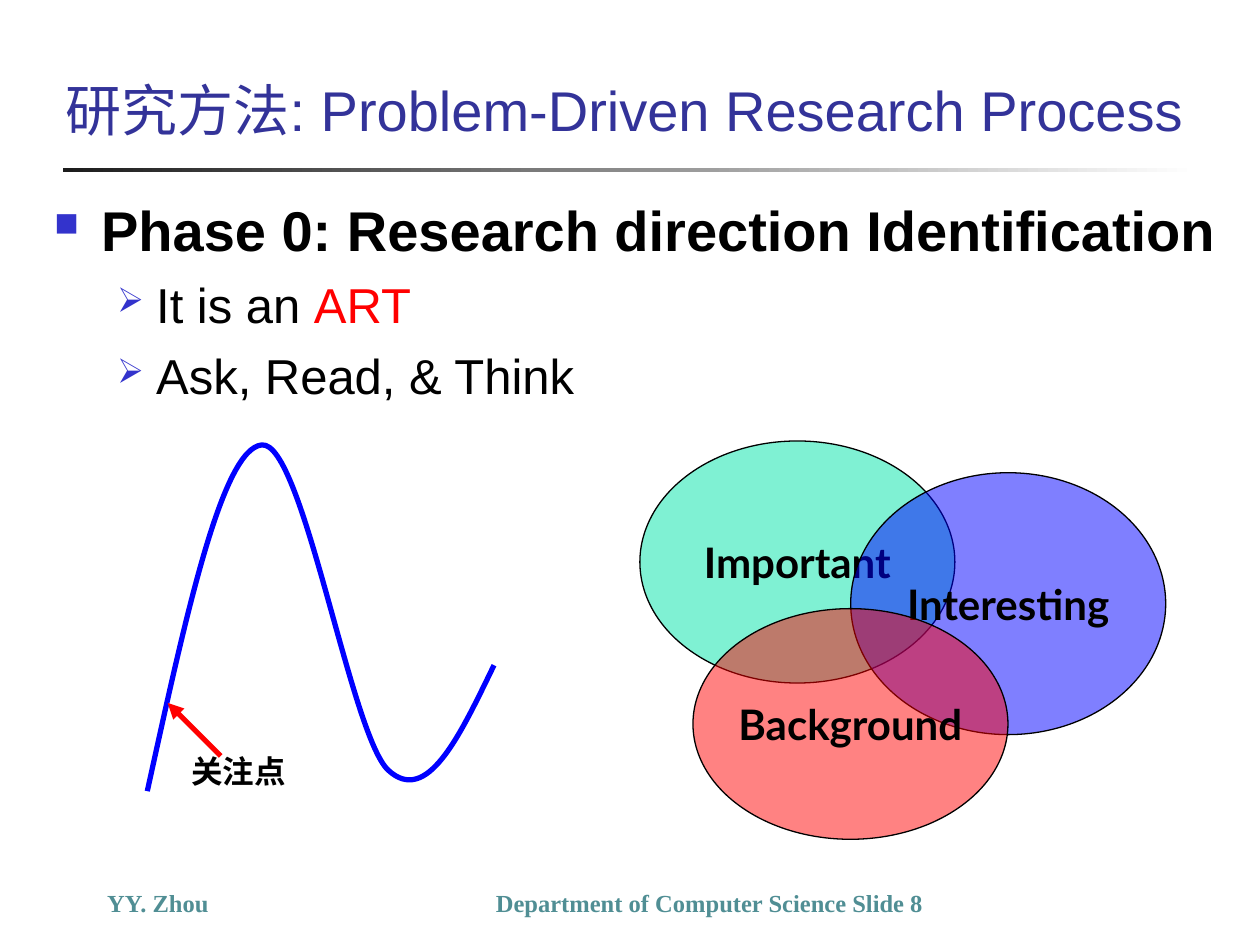
import pptx
import pptx.util
import pptx.dml.color
import pptx.enum.shapes
import pptx.enum.text
import pptx.oxml.ns
from lxml import etree

Cm, Pt = pptx.util.Cm, pptx.util.Pt
ALIGN, ANCHOR = pptx.enum.text.PP_ALIGN, pptx.enum.text.MSO_ANCHOR
qn = pptx.oxml.ns.qn

COLORS = {"title": "333399", "bullet": "3333CC", "footer": "508E94", "text": "000000",
          "red": "FF0000", "blue": "0000FF", "green": "00E4A8",
          "rule": "1C1C1C", "white": "FFFFFF"}

TITLE = "研究方法: Problem-Driven Research Process"
BODY = [
    (0, [("Phase 0: Research direction Identification", "text")]),
    (1, [("It is an ", "text"), ("ART", "red")]),
    (1, [("Ask, Read, & Think", "text")]),
]
LEVELS = [
    {"size": 32, "bold": True, "before": 8, "left": 0.95, "hang": 0.95, "char": "■", "pct": 60},
    {"size": 28, "bold": False, "before": 7, "left": 2.06, "hang": 0.79, "char": "➢", "pct": 70},
]
FOOTERS = [
    ("YY. Zhou", 1.91, 6.6, ALIGN.LEFT),
    ("Department of Computer Science Slide 8", 8.69, 11.23, ALIGN.CENTER),
]
CIRCLES = [
    ("Important", "green", 50, 12.9, 8.89, 4.88),
    ("Interesting", "blue", 50, 17.15, 9.53, 5.28),
    ("Background", "red", 49, 13.97, 12.27, 4.65),
]
CIRCLE_WIDTH = 6.35
CURVE = [(2.97, 15.95),
         (3.73, 12.5), (4.47, 9.04), (5.28, 8.97),
         (6.1, 8.89), (7.06, 14.78), (7.82, 15.52),
         (8.61, 16.26), (9.27, 14.83), (9.96, 13.41)]
ARROW = (4.45, 15.24, 3.38, 14.17)


def rgb(name):
    return pptx.dml.color.RGBColor.from_string(COLORS[name])


def style(r, size, font, color, bold=False):
    r.font.size, r.font.name, r.font.bold = Pt(size), font, bold
    r.font.color.rgb = rgb(color)


def add_text(slide, box, text, size, font, color, bold=False, align=ALIGN.LEFT, anchor=ANCHOR.TOP):
    tf = slide.shapes.add_textbox(*map(Cm, box)).text_frame
    tf.word_wrap, tf.vertical_anchor = True, anchor
    tf.text = text
    p = tf.paragraphs[0]
    p.alignment = align
    style(p.runs[0], size, font, color, bold)
    return p


def add_rule(slide):
    sp = slide.shapes.add_shape(pptx.enum.shapes.MSO_SHAPE.RECTANGLE,
                                Cm(1.27), Cm(3.38), Cm(22.86), Cm(0.08))
    sp.shadow.inherit = False
    sp.line.fill.background()
    sp.fill.gradient()
    sp.fill.gradient_angle = 0
    for stop, color, pos in zip(sp.fill.gradient_stops, ("rule", "white"), (0, 1)):
        stop.color.rgb, stop.position = rgb(color), pos


def add_bullet(p, level):
    pPr = p._p.get_or_add_pPr()
    pPr.set("marL", str(Cm(level["left"])))
    pPr.set("indent", str(-Cm(level["hang"])))
    clr = etree.SubElement(pPr, qn("a:buClr"))
    etree.SubElement(clr, qn("a:srgbClr"), val=COLORS["bullet"])
    etree.SubElement(pPr, qn("a:buSzPct"), val=str(level["pct"] * 1000))
    etree.SubElement(pPr, qn("a:buChar"), char=level["char"])


def add_body(slide):
    tf = slide.shapes.add_textbox(Cm(0.84), Cm(3.81), Cm(24.03), Cm(5.08)).text_frame
    tf.word_wrap = True
    for i, (depth, runs) in enumerate(BODY):
        p = tf.add_paragraph() if i else tf.paragraphs[0]
        level = LEVELS[depth]
        p.level, p.space_before = depth, Pt(level["before"])
        add_bullet(p, level)
        for text, color in runs:
            r = p.add_run()
            r.text = text
            style(r, level["size"], "Arial", color, level["bold"])


def add_circle(slide, text, color, opacity, x, y, height):
    sp = slide.shapes.add_shape(pptx.enum.shapes.MSO_SHAPE.OVAL,
                                Cm(x), Cm(y), Cm(CIRCLE_WIDTH), Cm(height))
    sp.shadow.inherit = False
    sp.fill.solid()
    sp.fill.fore_color.rgb = rgb(color)
    clr = sp._element.spPr.find(qn("a:solidFill")).find(qn("a:srgbClr"))
    etree.SubElement(clr, qn("a:alpha"), val=str(opacity * 1000))
    sp.line.color.rgb, sp.line.width = rgb("text"), Pt(0.75)
    tf = sp.text_frame
    tf.word_wrap, tf.vertical_anchor = False, ANCHOR.MIDDLE
    tf.text = text
    p = tf.paragraphs[0]
    p.alignment = ALIGN.CENTER
    style(p.runs[0], 24, "Lato", "text", True)


def add_curve(slide):
    points = [(Cm(x), Cm(y)) for x, y in CURVE]
    builder = slide.shapes.build_freeform(*points[0])
    builder.add_line_segments(points[1:], close=False)
    sp = builder.convert_to_shape()
    sp.shadow.inherit = False
    sp.fill.background()
    sp.line.color.rgb, sp.line.width = rgb("blue"), Pt(3)
    lines = list(sp._element.iter(qn("a:lnTo")))
    outline = lines[0].getparent()
    for i in range(0, len(lines), 3):
        bez = etree.SubElement(outline, qn("a:cubicBezTo"))
        for line in lines[i:i + 3]:
            bez.append(line[0])
            outline.remove(line)


def add_arrow(slide):
    c = slide.shapes.add_connector(pptx.enum.shapes.MSO_CONNECTOR.STRAIGHT, *map(Cm, ARROW))
    c.line.color.rgb, c.line.width = rgb("red"), Pt(3)
    etree.SubElement(c.line._get_or_add_ln(), qn("a:tailEnd"), type="triangle")
    etree.SubElement(c._element.spPr, qn("a:effectLst"))


def main():
    prs = pptx.Presentation()
    prs.slide_width, prs.slide_height = Cm(25.4), Cm(19.05)
    slide = prs.slides.add_slide(prs.slide_layouts[6])
    add_rule(slide)
    for text, x, width, align in FOOTERS:
        add_text(slide, (x, 17.35, width, 1.27), text, 14, "Times New Roman", "footer",
                 True, align, ANCHOR.BOTTOM)
    add_text(slide, (1.07, 0, 23.06, 3), TITLE, 32, "Arial", "title", anchor=ANCHOR.BOTTOM)
    add_body(slide)
    for circle in CIRCLES:
        add_circle(slide, *circle)
    add_curve(slide)
    add_arrow(slide)
    p = add_text(slide, (3.61, 15.04, 2.54, 1.02), "关注点", 18, "Lato", "text", True)
    p.space_before = Pt(11.2)
    prs.save("out.pptx")


if __name__ == "__main__":
    main()
